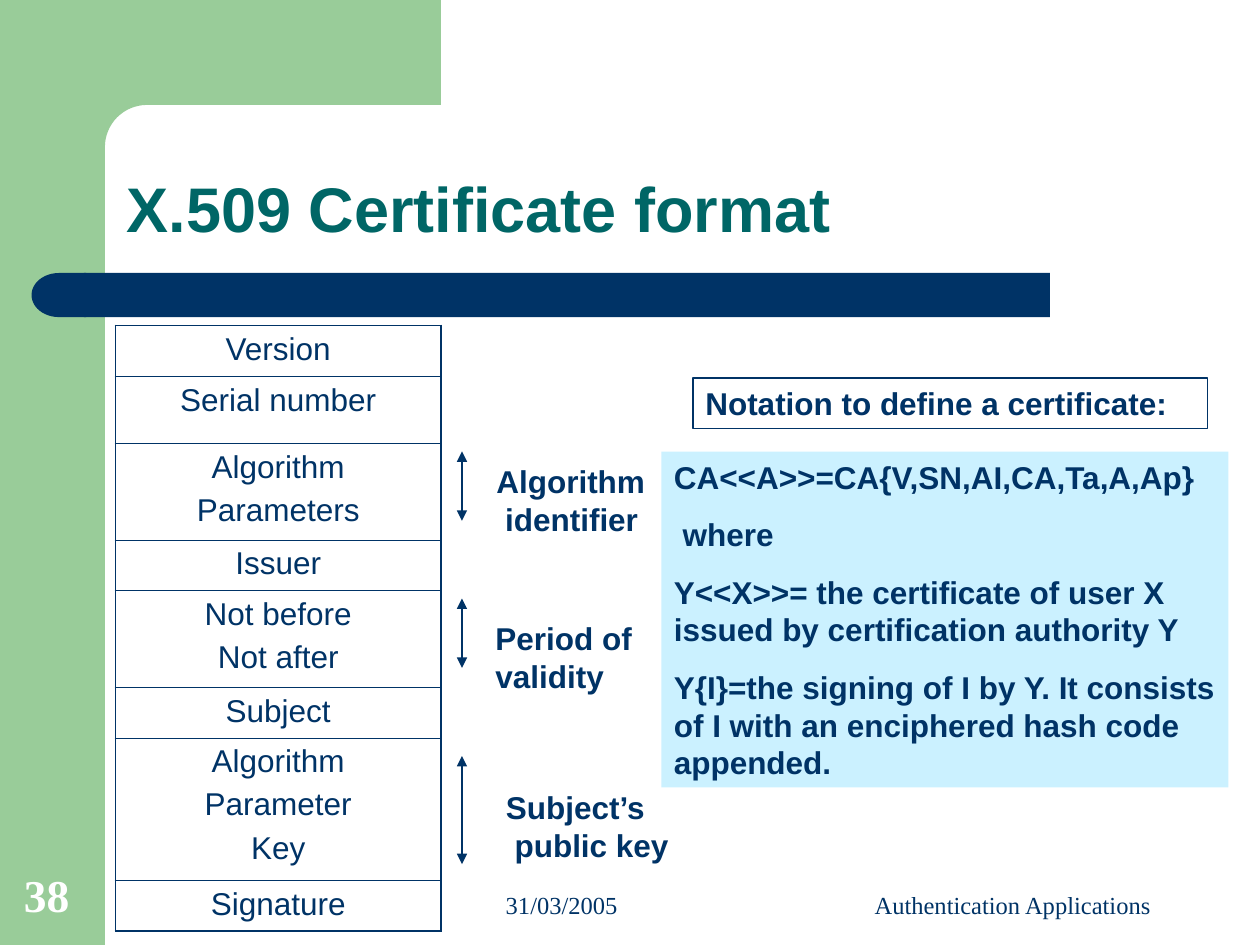
from math import cos, pi, sin

from lxml import etree
from pptx import Presentation
from pptx.dml.color import RGBColor
from pptx.enum.shapes import MSO_CONNECTOR, MSO_SHAPE
from pptx.enum.text import MSO_ANCHOR, PP_ALIGN
from pptx.oxml.ns import qn
from pptx.util import Inches, Pt

RECT, DELAY = MSO_SHAPE.RECTANGLE, MSO_SHAPE.FLOWCHART_DELAY
LINE = MSO_CONNECTOR.STRAIGHT
TOP, LOW = MSO_ANCHOR.TOP, MSO_ANCHOR.BOTTOM
LEFT, MID, RIGHT = PP_ALIGN.LEFT, PP_ALIGN.CENTER, PP_ALIGN.RIGHT

THEME = {
    "navy": "003366", "teal": "006666", "green": "99CC99",
    "sky": "CBF1FF", "white": "FFFFFF",
    "sans": "Arial", "serif": "Times New Roman",
    "title": 36, "page": 26, "body": 18, "foot": 14,
}

# The slide is a grid of 120 columns by 90 rows
prs = Presentation()
prs.slide_width, prs.slide_height = Inches(10), Inches(7.5)
UNIT = prs.slide_width / 120
slide = prs.slides.add_slide(prs.slide_layouts[6])
shapes = slide.shapes


def grid(*cells):
    return [round(n * UNIT) for n in cells]


def write(frame, text, size="body", color="navy", font="sans", bold=False,
          align=LEFT, anchor=TOP, gap=0, lead=None, wrap=True, indent=0):
    """Fill a text frame or table cell, one paragraph per line of text."""
    frame.vertical_anchor = anchor
    frame.margin_left = Inches(0.1 + indent)
    frame.margin_right = Inches(0.1)
    frame.margin_top = frame.margin_bottom = Inches(0.05)
    body = getattr(frame, "text_frame", frame)
    body.word_wrap = wrap
    body.text = text
    for i, para in enumerate(body.paragraphs):
        para.alignment = align
        para.space_before = Pt(gap if i else 0)
        if lead:
            para.line_spacing = lead
        para.font.name = THEME[font]
        para.font.size = Pt(THEME[size])
        para.font.bold = bold
        para.font.color.rgb = RGBColor.from_string(THEME[color])


def paint(shape, fill=None, line=None):
    shape.shadow.inherit = False
    if fill:
        shape.fill.solid()
        shape.fill.fore_color.rgb = RGBColor.from_string(THEME[fill])
    else:
        shape.fill.background()
    if line:
        shape.line.color.rgb = RGBColor.from_string(THEME[line])
        shape.line.width = Pt(0.75)
    else:
        shape.line.fill.background()


# Green side band and top block with a rounded inner corner
paint(shapes.add_shape(RECT, *grid(0, 0, 10, 90)), "green")
curve = [(14 - 4 * sin(a), 14 - 4 * cos(a))
         for a in (pi / 2 * i / 16 for i in range(17))]
edge = [(42, 0), (42, 10), *curve, (10, 15.4), (6, 15.4), (6, 0)]
form = shapes.build_freeform(*grid(*edge[0]), scale=1.0)
form.add_line_segments([grid(*spot) for spot in edge[1:]], close=True)
paint(form.convert_to_shape(), "green")

# Navy rule with a round left end
paint(shapes.add_shape(RECT, *grid(8, 26, 92, 4.2)), "navy")
cap = shapes.add_shape(DELAY, *grid(3, 26, 5.2, 4.2))
cap.rotation = 180
paint(cap, "navy")

# Title
title = shapes.add_textbox(*grid(10.9, 10.9, 102, 13.1))
write(title.text_frame, "X.509 Certificate format", size="title",
      color="teal", bold=True, anchor=LOW, lead=0.9)

# Certificate fields: text and row height
FIELDS = [
    ("Version", 4.83), ("Serial number", 6.4), ("Algorithm\nParameters", 9.2),
    ("Issuer", 4.83), ("Not before\nNot after", 9.2), ("Subject", 4.83),
    ("Algorithm\nParameter\nKey", 13.55), ("Signature", 4.83),
]
table = shapes.add_table(len(FIELDS), 1, *grid(11, 31, 31, 57.7)).table
table.first_row = table.horz_banding = False
for i, (text, high) in enumerate(FIELDS):
    table.rows[i].height = round(high * UNIT)
    cell = table.cell(i, 0)
    write(cell, text, align=MID, gap=4.5)
    cell.fill.background()
    props = cell._tc.get_or_add_tcPr()
    thick = {"lnL": True, "lnR": True, "lnT": i == 0,
             "lnB": i == len(FIELDS) - 1}
    for j, (side, wide) in enumerate(thick.items()):
        rim = etree.Element(qn("a:" + side), w=str(Pt(1.08 if wide else 0.45)))
        solid = etree.SubElement(rim, qn("a:solidFill"))
        etree.SubElement(solid, qn("a:srgbClr"), val=THEME["navy"])
        props.insert(j, rim)

# Field groups: arrow top and length, then label and its place
GROUPS = [
    (43, 6.6, "Algorithm\n identifier", 46.1, 43.4, 16.6),
    (57, 6.6, "Period of\nvalidity", 46, 58.4, 16.2),
    (72, 10.3, "Subject’s\n public key", 47, 74.5, 17.9),
]
for top, span, text, x, y, wide in GROUPS:
    arrow = shapes.add_connector(LINE, *grid(44, top, 44, top + span))
    arrow.line.color.rgb = RGBColor.from_string(THEME["navy"])
    arrow.line.width = Pt(0.75)
    stroke = arrow.line._get_or_add_ln()
    for end in ("headEnd", "tailEnd"):
        etree.SubElement(stroke, qn("a:" + end), type="triangle")
    etree.SubElement(arrow._element.spPr, qn("a:effectLst"))
    label = shapes.add_textbox(*grid(x, y, wide, 8.4))
    write(label.text_frame, text, bold=True, wrap=False)

# Notation heading and panel
head = shapes.add_shape(RECT, *grid(66, 36, 49, 4.8))
paint(head, line="navy")
write(head.text_frame, "Notation to define a certificate:", bold=True)

panel = shapes.add_shape(RECT, *grid(63, 43, 54, 32))
paint(panel, "sky")
RULES = [
    "CA<<A>>=CA{V,SN,AI,CA,Ta,A,Ap}",
    " where",
    "Y<<X>>= the certificate of user X issued by certification authority Y",
    "Y{I}=the signing of I by Y. It consists of I with an enciphered hash "
    "code appended.",
]
write(panel.text_frame, "\n".join(RULES), bold=True, gap=11.2)

# Footer, page number and date
FOOT = [
    ((76, 82, 38, 6.2), "Authentication Applications",
     {"size": "foot", "align": MID, "indent": 0.24}),
    ((1.1, 82, 7.7, 6.4), "38",
     {"size": "page", "color": "white", "bold": True}),
    ((32, 82, 28, 6.2), "31/03/2005", {"size": "foot", "align": RIGHT}),
]
for place, text, style in FOOT:
    box = shapes.add_textbox(*grid(*place))
    write(box.text_frame, text, font="serif", anchor=LOW, **style)

prs.save("out.pptx")
